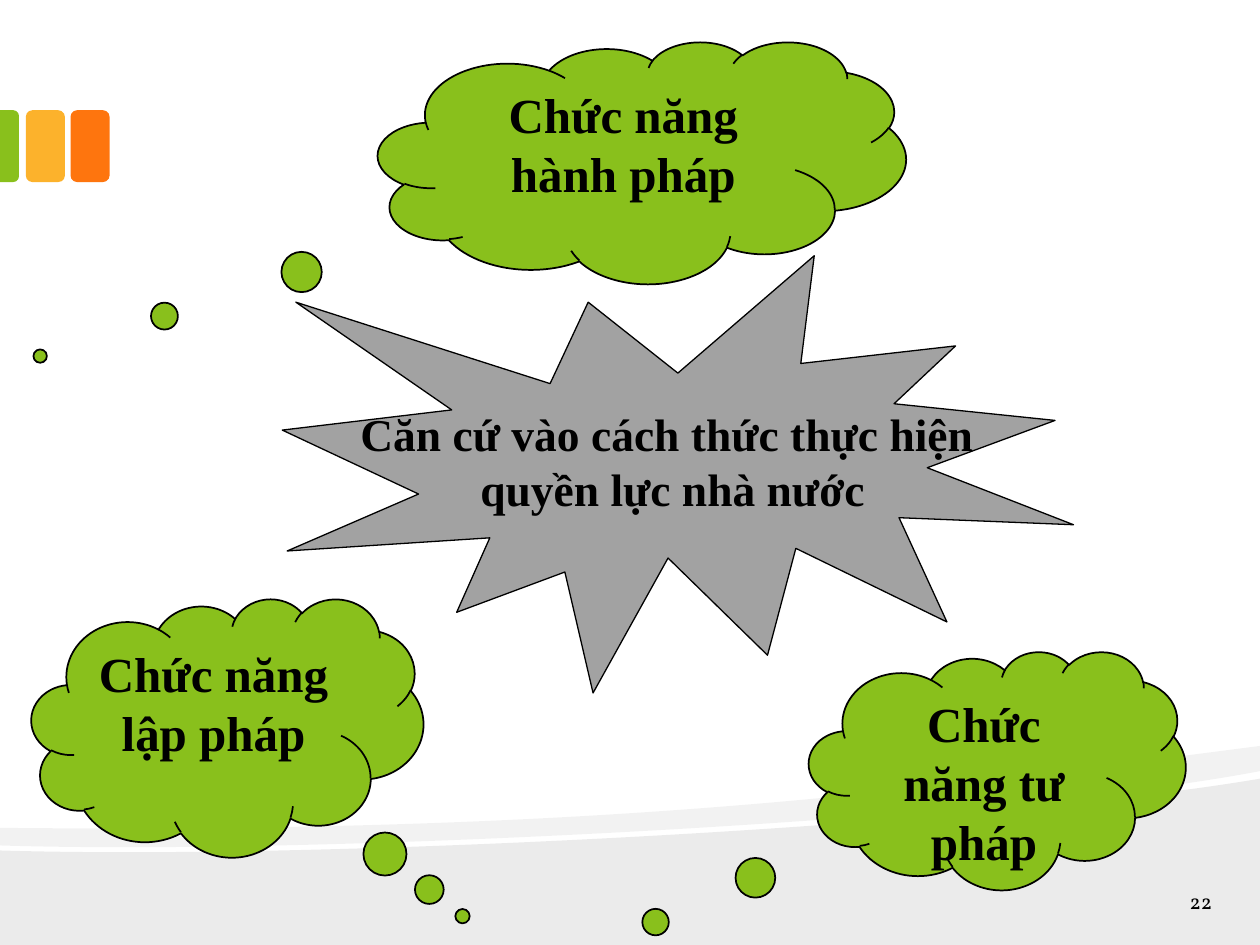
from itertools import chain
from typing import NamedTuple

from lxml.etree import SubElement
from pptx import Presentation
from pptx.dml.color import RGBColor
from pptx.enum.shapes import MSO_SHAPE as Preset
from pptx.enum.text import MSO_ANCHOR as Anchor, PP_ALIGN as Align
from pptx.oxml.ns import qn
from pptx.util import Inches, Pt

BLACK = RGBColor(0x00, 0x00, 0x00)
GREEN = RGBColor(0x89, 0xC0, 0x1C)
AMBER = RGBColor(0xFC, 0xB2, 0x2C)
ORANGE = RGBColor(0xFE, 0x75, 0x0E)
GREY = RGBColor(0xA2, 0xA2, 0xA2)
BODY_FONT = "Times New Roman"
NUMBER_FONT = "Vollkorn"

# The slide is a grid of square cells.
COLUMNS, ROWS = 100, 75
CELL = Inches(0.1)


class Box(NamedTuple):
    """Left, top, width and height in grid cells."""
    left: float
    top: float
    width: float
    height: float

    def emu(self):
        return [round(length * CELL) for length in self]


def paint(shape, fill, line_width=None):
    shape.shadow.inherit = False
    shape.fill.solid()
    shape.fill.fore_color.rgb = fill
    if line_width is None:
        shape.line.fill.background()
    else:
        shape.line.color.rgb = BLACK
        shape.line.width = Pt(line_width)


def write(shape, lines, size, font=BODY_FONT, bold=True, align=Align.CENTER):
    frame = shape.text_frame
    frame.text = "\n".join(lines)
    for paragraph in frame.paragraphs:
        paragraph.alignment = align
        paragraph.font.name = font
        paragraph.font.size = Pt(size)
        paragraph.font.bold = bold
        paragraph.font.color.rgb = BLACK
    return frame


def add_veil(slide, box, start, segments, opacity):
    """A translucent black outline in cells from the box's corner.

    A segment of one point is a straight line, one of three a Bezier curve.
    """
    corners = [(round((box.left + x) * CELL), round((box.top + y) * CELL))
               for x, y in chain([start], *segments)]
    builder = slide.shapes.build_freeform(*corners[0])
    builder.add_line_segments(corners[1:])
    veil = builder.convert_to_shape()
    lines = iter(list(veil.element.iter(qn("a:lnTo"))))
    for segment in segments:
        first, *others = [next(lines) for _ in segment]
        if others:
            first.tag = qn("a:cubicBezTo")
        for other in others:
            first.append(other[0])
            other.getparent().remove(other)
    paint(veil, BLACK)
    color = veil.element.spPr.find(qn("a:solidFill"))[0]
    SubElement(color, qn("a:alpha")).set("val", str(opacity * 1000))


def add_ground(slide, box):
    right, bottom = box.width, box.height
    add_veil(slide, box, (right, 2.6), [
        [(right, bottom)],
        [(0, bottom)],
        [(0, 8.3)],
        [(26.4, 9.1), (78.2, 6.3), (right, 2.6)],
    ], 8)
    add_veil(slide, box, (right, 0), [
        [(right, 2)],
        [(94.2, 3.1), (86.2, 4.1), (77.2, 4.9)],
        [(52.3, 7.1), (19.3, 8.5), (0, 7.9)],
        [(0, 6.5)],
        [(48.9, 7), (72.8, 3.5), (right, 0)],
    ], 5)


def add_color_tabs(slide, box):
    """Two rounded tabs, and a third cut off by the slide's left edge."""
    tab_width, pitch, edge_width = 3.1, 3.55, 1.5
    for place, color in enumerate((ORANGE, AMBER)):
        left = box.left + box.width - tab_width - place * pitch
        tab = slide.shapes.add_shape(
            Preset.ROUNDED_RECTANGLE,
            *Box(left, box.top, tab_width, box.height).emu())
        paint(tab, color)
    # A quarter turn swaps the width and height about the centre.
    shift = (box.height - edge_width) / 2
    edge_tab = slide.shapes.add_shape(
        Preset.ROUND_2_SAME_RECTANGLE,
        *Box(box.left - shift, box.top + shift, box.height, edge_width).emu())
    edge_tab.rotation = 90
    edge_tab.adjustments[0] = 0.29
    paint(edge_tab, GREEN)


def add_thought(slide, box, words, tail):
    """A cloud whose bubbles trail to tail, in shares of its size from its centre."""
    cloud = slide.shapes.add_shape(Preset.CLOUD_CALLOUT, *box.emu())
    cloud.adjustments[0], cloud.adjustments[1] = tail
    paint(cloud, GREEN, 1)
    write(cloud, [words], 28).vertical_anchor = Anchor.TOP


def add_burst(slide, box, lines):
    burst = slide.shapes.add_shape(Preset.EXPLOSION1, *box.emu())
    paint(burst, GREY, 0.75)
    frame = write(burst, lines, 26)
    frame.vertical_anchor = Anchor.MIDDLE
    frame.word_wrap = False


def add_page_number(slide, box, number):
    page = slide.shapes.add_textbox(*box.emu())
    frame = write(page, [number], 12, NUMBER_FONT, False, Align.RIGHT)
    frame.word_wrap = True
    frame.vertical_anchor = Anchor.MIDDLE
    frame.margin_left = frame.margin_right = Inches(0.13)
    frame.margin_top = frame.margin_bottom = Inches(0.07)


def main():
    deck = Presentation()
    deck.slide_width, deck.slide_height = COLUMNS * CELL, ROWS * CELL
    slide = deck.slides.add_slide(deck.slide_layouts[6])

    add_ground(slide, Box(0, 59.2, COLUMNS, ROWS - 59.2))
    add_color_tabs(slide, Box(0, 8.75, 8.7, 5.7))
    add_page_number(slide, Box(90.8, 70.5, 6.7, 2), "22")

    far_left, near_right = (-1.14, 0.8), (0.6, 0.73)
    add_thought(slide, Box(30, 3.3, 41.9, 19.2), "Chức năng hành pháp", far_left)
    add_burst(slide, Box(22.4, 20.3, 62.8, 34.7),
              ["Căn cứ vào cách thức thực hiện ", "quyền lực nhà nước"])
    add_thought(slide, Box(2.5, 47.5, 31.1, 20.5), "Chức năng lập pháp", near_right)
    add_thought(slide, Box(64.2, 51.7, 29.9, 18.9), "Chức năng tư pháp", far_left)
    deck.save("out.pptx")


if __name__ == "__main__":
    main()
